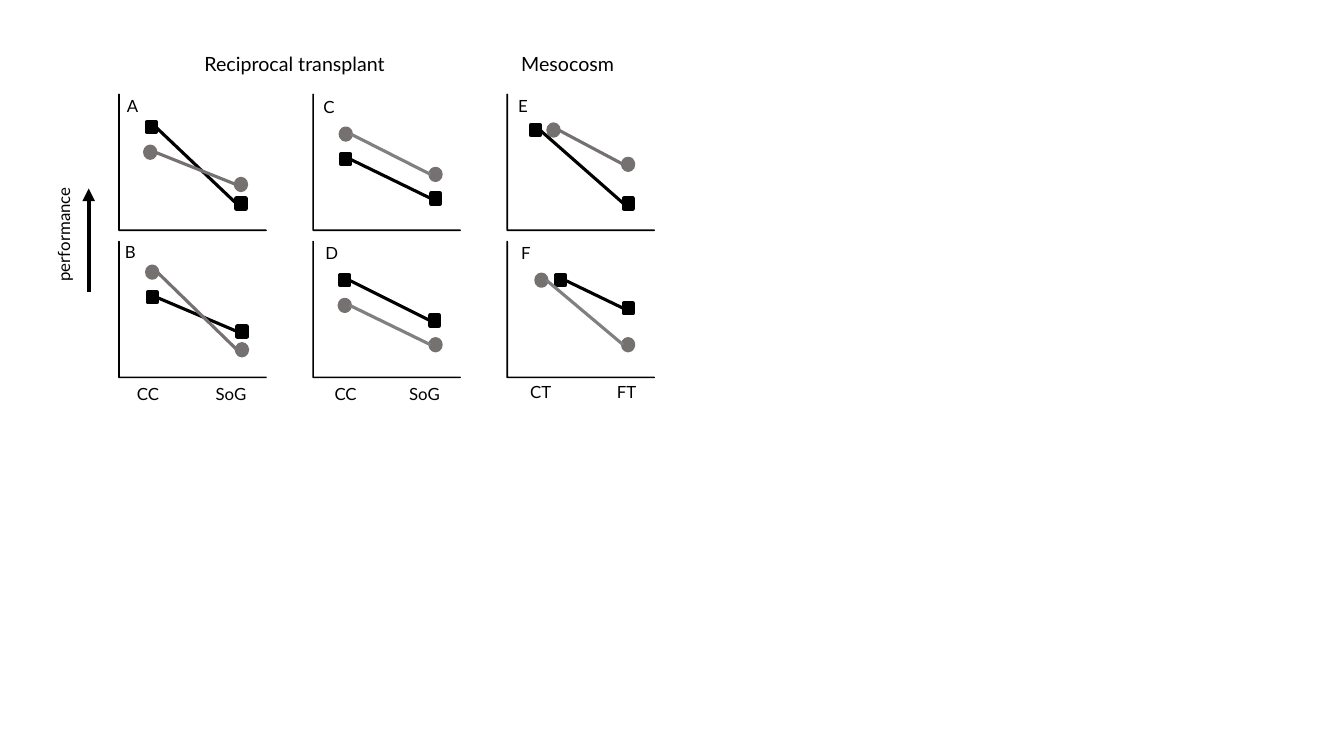
from lxml.etree import SubElement
from pptx import Presentation
from pptx.dml.color import RGBColor
from pptx.enum.shapes import MSO_CONNECTOR as Connector, MSO_SHAPE as Shape
from pptx.enum.text import MSO_AUTO_SIZE as AutoSize
from pptx.oxml.ns import qn
from pptx.util import Inches, Pt

BLACK = RGBColor(0x00, 0x00, 0x00)
MARKER_GREY = RGBColor(0x76, 0x71, 0x71)
LINE_GREY = RGBColor(0x80, 0x80, 0x80)
FONT = "Lato"

COLUMN_LEFT, COLUMN_PITCH = 1.18, 1.925
ROW_TOP, ROW_PITCH = 0.935, 1.46
PANEL_WIDTH, PANEL_HEIGHT = 1.46, 1.35
SQUARE_SIZE = (0.09, 0.1)
CIRCLE_SIZE = (0.1, 0.11)

# Letter, letter box, column, row, ends of the black and grey series, grey line colour
PANELS = [
    ("A", (1.16, 0.9, 0.32), 0, 0,
     ((1.5, 1.26), (2.39, 2.02)), ((1.49, 1.51), (2.39, 1.83)), MARKER_GREY),
    ("B", (1.14, 2.35, 0.31), 0, 1,
     ((1.51, 2.95), (2.4, 3.29)), ((1.51, 2.7), (2.4, 3.47)), MARKER_GREY),
    ("C", (3.11, 0.91, 0.32), 1, 0,
     ((3.43, 1.58), (4.32, 1.97)), ((3.43, 1.33), (4.32, 1.73)), LINE_GREY),
    ("D", (3.13, 2.36, 0.33), 1, 1,
     ((3.42, 2.78), (4.31, 3.18)), ((3.42, 3.03), (4.32, 3.42)), LINE_GREY),
    ("E", (5.04, 0.9, 0.3), 2, 0,
     ((5.31, 1.29), (6.23, 2.02)), ((5.49, 1.29), (6.23, 1.63)), MARKER_GREY),
    ("F", (5.07, 2.36, 0.29), 2, 1,
     ((5.56, 2.78), (6.23, 3.06)), ((5.37, 2.78), (6.23, 3.42)), LINE_GREY),
]
HEADINGS = [("Reciprocal transplant", 1.93, 2.03), ("Mesocosm", 5.07, 1.15)]
SITES = [
    ("CC", 1.26, 3.76, 0.44), ("SoG", 2.04, 3.76, 0.53),
    ("CC", 3.22, 3.76, 0.44), ("SoG", 3.96, 3.76, 0.53),
    ("CT", 5.16, 3.74, 0.42), ("FT", 6.02, 3.74, 0.39),
]


def add_label(shapes, text, left, top, width, height=0.3, size=12, rotation=0):
    box = shapes.add_textbox(Inches(left), Inches(top), Inches(width), Inches(height))
    box.rotation = rotation
    frame = box.text_frame
    frame.word_wrap = False
    frame.auto_size = AutoSize.SHAPE_TO_FIT_TEXT
    span = frame.paragraphs[0].add_run()
    span.text = text
    span.font.name = FONT
    span.font.size = Pt(size)
    span.font.color.rgb = BLACK


def add_centred(shapes, kind, centre, size, color, line_width):
    """Add a filled shape around its centre point."""
    (x, y), (width, height) = centre, size
    shape = shapes.add_shape(kind, Inches(x - width / 2), Inches(y - height / 2),
                             Inches(width), Inches(height))
    shape.shadow.inherit = False
    shape.fill.solid()
    shape.fill.fore_color.rgb = color
    shape.line.color.rgb = color
    shape.line.width = Pt(line_width)
    return shape


def add_line(shapes, start, end, color, width, arrow=False):
    line = shapes.add_connector(Connector.STRAIGHT, Inches(start[0]), Inches(start[1]),
                                Inches(end[0]), Inches(end[1]))
    line.line.color.rgb = color
    line.line.width = Pt(width)
    if arrow:
        SubElement(line.line._get_or_add_ln(), qn("a:tailEnd"), type="triangle")
    SubElement(line._element.spPr, qn("a:effectLst"))


def add_axes(shapes, column, row):
    """Add the L-shaped axes: a thin half frame turned by 270 degrees."""
    centre = (COLUMN_LEFT + column * COLUMN_PITCH + PANEL_WIDTH / 2,
              ROW_TOP + row * ROW_PITCH + PANEL_HEIGHT / 2)
    axes = add_centred(shapes, Shape.HALF_FRAME, centre,
                       (PANEL_HEIGHT, PANEL_WIDTH), BLACK, 1)
    axes.adjustments[0] = axes.adjustments[1] = 0.002
    axes.rotation = 270


def add_panel(page, letter, letter_box, column, row, black_ends, grey_ends, grey_line):
    shapes = page.shapes.add_group_shape().shapes
    add_axes(shapes, column, row)
    series = [
        (Shape.RECTANGLE, SQUARE_SIZE, BLACK, BLACK, black_ends),
        (Shape.OVAL, CIRCLE_SIZE, MARKER_GREY, grey_line, grey_ends),
    ]
    for kind, size, color, _, ends in series:
        for centre in ends:
            add_centred(shapes, kind, centre, size, color, 3)
    for _, size, _, color, (start, end) in series:
        gap = size[0] / 2
        add_line(shapes, (start[0] + gap, start[1]), (end[0] - gap, end[1]), color, 2.25)
    add_label(shapes, letter, *letter_box)


def main():
    deck = Presentation()
    deck.slide_width, deck.slide_height = Inches(13.33), Inches(7.5)
    page = deck.slides.add_slide(deck.slide_layouts[6])
    for text, left, width in HEADINGS:
        add_label(page.shapes, text, left, 0.47, width, height=0.34, size=14)
    for panel in PANELS:
        add_panel(page, *panel)
    for site in SITES:
        add_label(page.shapes, *site)
    add_label(page.shapes, "performance", 0.05, 2.16, 1.16, rotation=270)
    add_line(page.shapes, (0.88, 2.9), (0.88, 1.87), BLACK, 3, arrow=True)
    deck.save("out.pptx")


if __name__ == "__main__":
    main()
